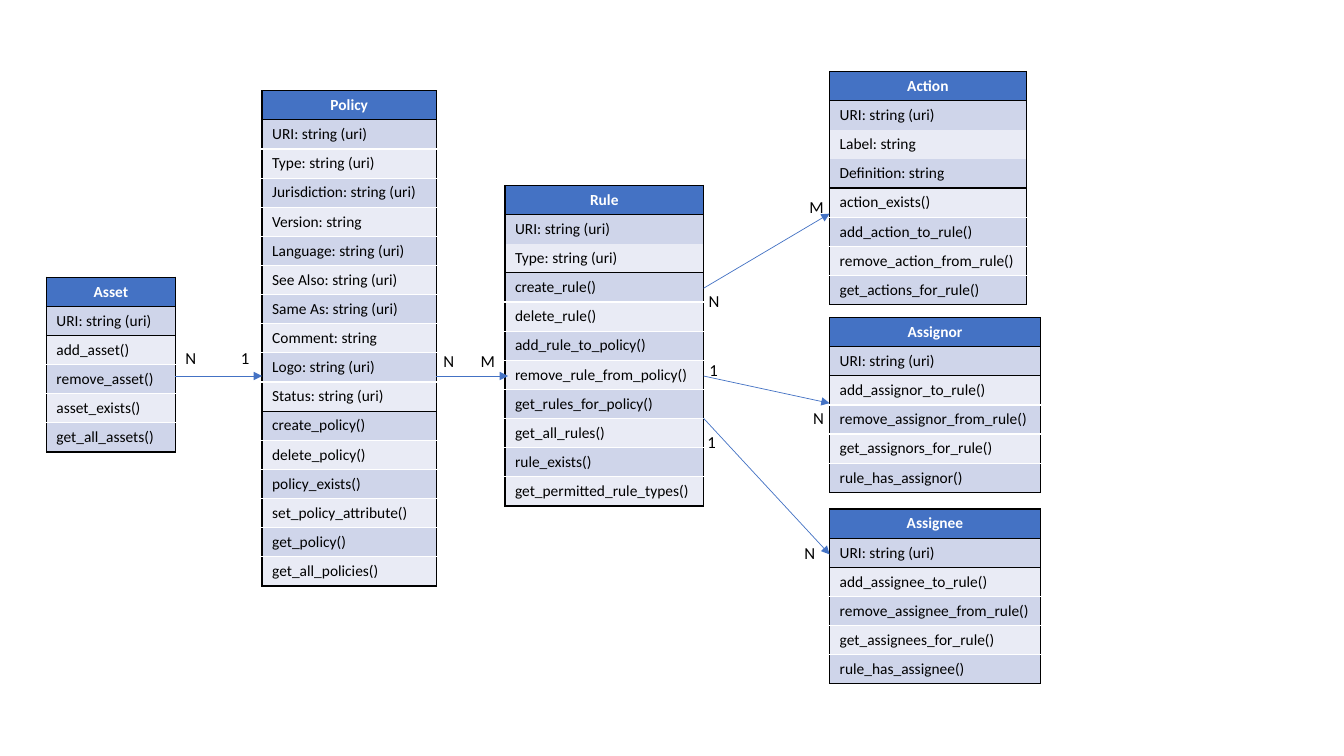
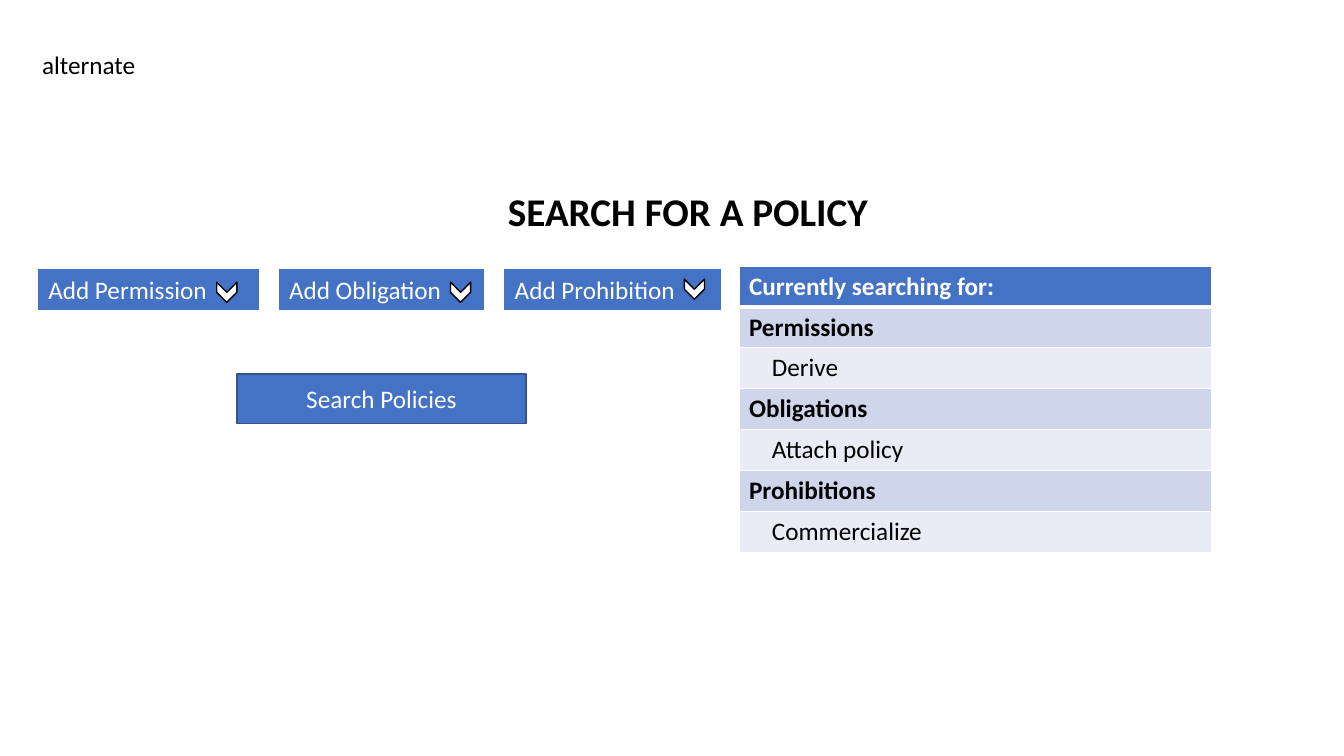
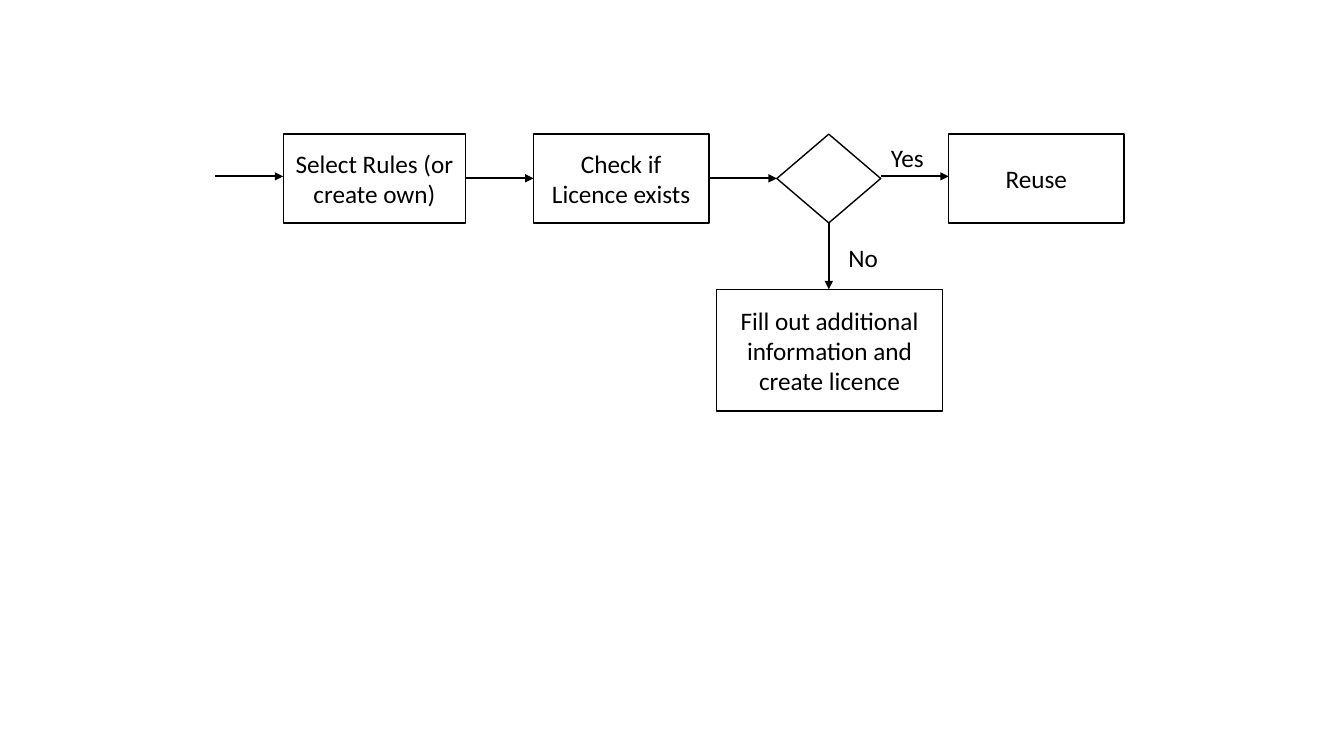
"""Builds three slides: a class diagram, a search form and a flow chart."""
from lxml import etree
from pptx import Presentation
from pptx.dml.color import RGBColor
from pptx.enum.shapes import MSO_CONNECTOR, MSO_SHAPE
from pptx.enum.text import MSO_ANCHOR, MSO_AUTO_SIZE, PP_ALIGN
from pptx.oxml.ns import qn
from pptx.util import Pt

BLUE = RGBColor(0x44, 0x72, 0xC4)
NAVY = RGBColor(0x32, 0x54, 0x91)
LILAC = RGBColor(0xCF, 0xD5, 0xEA)
PALE = RGBColor(0xE9, 0xEB, 0xF5)
BLACK = RGBColor(0, 0, 0)
WHITE = RGBColor(0xFF, 0xFF, 0xFF)
LEFT, CENTER = PP_ALIGN.LEFT, PP_ALIGN.CENTER
TOP, MIDDLE = MSO_ANCHOR.TOP, MSO_ANCHOR.MIDDLE
RECT, DIAMOND, CHEVRON = MSO_SHAPE.RECTANGLE, MSO_SHAPE.DIAMOND, MSO_SHAPE.CHEVRON
STRAIGHT = MSO_CONNECTOR.STRAIGHT
GROW = MSO_AUTO_SIZE.SHAPE_TO_FIT_TEXT


class Deck:
    """Holds the shared style and the current slide."""

    font = "Calibri"

    def __init__(self):
        self.prs = Presentation()
        self.prs.slide_width, self.prs.slide_height = Pt(960), Pt(540)

    def page(self):
        self.shapes = self.prs.slides.add_slide(self.prs.slide_layouts[6]).shapes

    def put(self, frame, text, size, color, bold=False, align=LEFT):
        frame.text = text
        para = frame.paragraphs[0]
        para.alignment = align
        font = para.font
        font.name, font.size, font.bold = self.font, Pt(size), bold
        font.color.rgb = color

    def label(self, text, left, top, width, height, size=18, bold=False):
        frame = self.shapes.add_textbox(Pt(left), Pt(top), Pt(width), Pt(height)).text_frame
        frame.word_wrap = False
        frame.auto_size = GROW
        self.put(frame, text, size, BLACK, bold)

    def box(self, left, top, width, height, text="", kind=RECT, fill=WHITE, line=BLACK,
            weight=1, color=BLACK, align=CENTER, anchor=MIDDLE):
        shape = self.shapes.add_shape(kind, Pt(left), Pt(top), Pt(width), Pt(height))
        shape.shadow.inherit = False
        shape.fill.solid()
        shape.fill.fore_color.rgb = fill
        shape.line.color.rgb = line
        shape.line.width = Pt(weight)
        if text:
            shape.text_frame.word_wrap = True
            shape.text_frame.vertical_anchor = anchor
            self.put(shape.text_frame, text, 18, color, align=align)
        return shape

    def arrow(self, x1, y1, x2, y2, color=BLACK, weight=1.5):
        line = self.shapes.add_connector(STRAIGHT, Pt(x1), Pt(y1), Pt(x2), Pt(y2))
        line.line.color.rgb = color
        line.line.width = Pt(weight)
        etree.SubElement(line.line._get_or_add_ln(), qn("a:tailEnd"), type="triangle")
        etree.SubElement(line._element.spPr, qn("a:effectLst"))

    def edge(self, cell, side, color, weight=1):
        ln = etree.SubElement(cell._tc.get_or_add_tcPr(), qn("a:ln" + side), w=str(Pt(weight)))
        if color is None:
            etree.SubElement(ln, qn("a:noFill"))
        else:
            fill = etree.SubElement(ln, qn("a:solidFill"))
            etree.SubElement(fill, qn("a:srgbClr"), val=str(color))

    def table(self, left, top, width, row, texts, edges, side, size,
              align=LEFT, strong=(0,), indent=0):
        count = len(texts)
        grid = self.shapes.add_table(count, 1, Pt(left), Pt(top), Pt(width), Pt(row * count)).table
        for i, text in enumerate(texts):
            grid.rows[i].height = Pt(row)
            cell = grid.cell(i, 0)
            self.edge(cell, "L", side)
            self.edge(cell, "R", side)
            self.edge(cell, "T", *edges[i])
            self.edge(cell, "B", *edges[i + 1])
            cell.fill.solid()
            cell.fill.fore_color.rgb = BLUE if i == 0 else LILAC if i % 2 else PALE
            if i not in strong:
                cell.margin_left = Pt(7.2 + indent)
            self.put(cell.text_frame, text, size, BLACK if i else WHITE,
                     i in strong, LEFT if i else align)

    def entity(self, left, top, width, name, fields, calls, inner=WHITE, row=20.8):
        edges = [(BLACK,)] * 2 + [(inner,)] * (len(fields) - 1) + [(BLACK,)]
        edges += [(WHITE,)] * (len(calls) - 1) + [(BLACK,)]
        calls = [call + "()" for call in calls]
        self.table(left, top, width, row, [name, *fields, *calls], edges, BLACK, 11, CENTER)


deck = Deck()
URI = "URI: string (uri)"

deck.page()
deck.entity(187.2, 64.8, 124.6, "Policy",
            [URI, "Type: string (uri)", "Jurisdiction: string (uri)", "Version: string",
             "Language: string (uri)", "See Also: string (uri)", "Same As: string (uri)",
             "Comment: string", "Logo: string (uri)", "Status: string (uri)"],
            ["create_policy", "delete_policy", "policy_exists", "set_policy_attribute",
             "get_policy", "get_all_policies"])
deck.entity(33.1, 198, 92.2, "Asset", [URI],
            ["add_asset", "remove_asset", "asset_exists", "get_all_assets"])
deck.entity(360.7, 132.5, 141.9, "Rule", [URI, "Type: string (uri)"],
            ["create_rule", "delete_rule", "add_rule_to_policy", "remove_rule_from_policy",
             "get_rules_for_policy", "get_all_rules", "rule_exists",
             "get_permitted_rule_types"], None)
deck.entity(592.6, 51.1, 140.4, "Action", [URI, "Label: string", "Definition: string"],
            ["action_exists", "add_action_to_rule", "remove_action_from_rule",
             "get_actions_for_rule"], None)
for role, top, row in (("assignor", 226.8, 20.8), ("assignee", 363.6, 20.4)):
    deck.entity(592.6, top, 150.5, role.capitalize(), [URI],
                [f"add_{role}_to_rule", f"remove_{role}_from_rule",
                 f"get_{role}s_for_rule", f"rule_has_{role}"], row=row)
for ends in ((125.3, 268.6, 187.2, 268.6), (311.8, 268.6, 362.9, 268.6),
             (502.6, 205.9, 592.6, 152.6), (502.6, 268.6, 592.6, 288),
             (502.6, 298.8, 592.6, 396)):
    deck.arrow(*ends, BLUE, 0.5)
WIDTHS = {"N": 22.3, "M": 25.2, "1": 20.9}
for mark, left, top in (("N", 125.3, 244.8), ("1", 164.9, 244.8), ("N", 309.6, 247),
                        ("M", 336.2, 247), ("N", 499, 204.5), ("M", 571, 136.8),
                        ("1", 499.7, 253.4), ("N", 573.8, 288), ("1", 498.2, 304.6),
                        ("N", 567.4, 384.5)):
    deck.label(mark, left, top, WIDTHS[mark], 21.6, 12)

deck.page()
deck.label("SEARCH FOR A POLICY", 355.7, 130.3, 274.3, 41, 28, True)
deck.table(527.8, 190.1, 337.7, 29.2,
           ["Currently searching for:", "Permissions", "Derive", "Obligations",
            "Attach policy", "Prohibitions", "Commercialize"],
           [(WHITE,), (WHITE, 3)] + [(WHITE,)] * 6, WHITE, 18,
           strong=(0, 1, 3, 5), indent=16.4)
deck.box(169.2, 267.1, 206.6, 35.3, "Search Policies", fill=BLUE, line=NAVY, color=WHITE)
deck.label("alternate", 23, 31.7, 82.1, 28.8)
left = 27.4
for i, (name, width, top) in enumerate((("Permission", 157, 201.6), ("Obligation", 146.2, 201.6),
                                        ("Prohibition", 154.1, 199.4))):
    deck.box(left, 192.2, width, 28.8, "Add " + name, fill=BLUE, line=BLUE, weight=0.75,
             color=WHITE, align=LEFT, anchor=TOP)
    deck.box(154.8 + 167 * i, top, 14.4, 14.4, kind=CHEVRON).rotation = 90
    left += width + 15

deck.page()
GAP = 48.5
left = 202.3
for text, width, kind, y in (("Select Rules (or create own)", 130.3, RECT, 126),
                             ("Check if Licence exists", 125.3, RECT, 127.4),
                             ("", 74.2, DIAMOND, 127.4), ("Reuse", 125.3, RECT, 126)):
    deck.box(left, 95.8, width, 63.4, text, kind)
    deck.arrow(left - GAP, y, left, y)
    left += width + GAP
deck.box(511.9, 206.6, 161.3, 87.1, "Fill out additional information and create licence")
deck.arrow(592, 159.2, 592, 206.6)
deck.label("Yes", 629.3, 97.9, 38.2, 28.8)
deck.label("No", 599, 169.2, 36, 28.8)

deck.prs.save("out.pptx")
